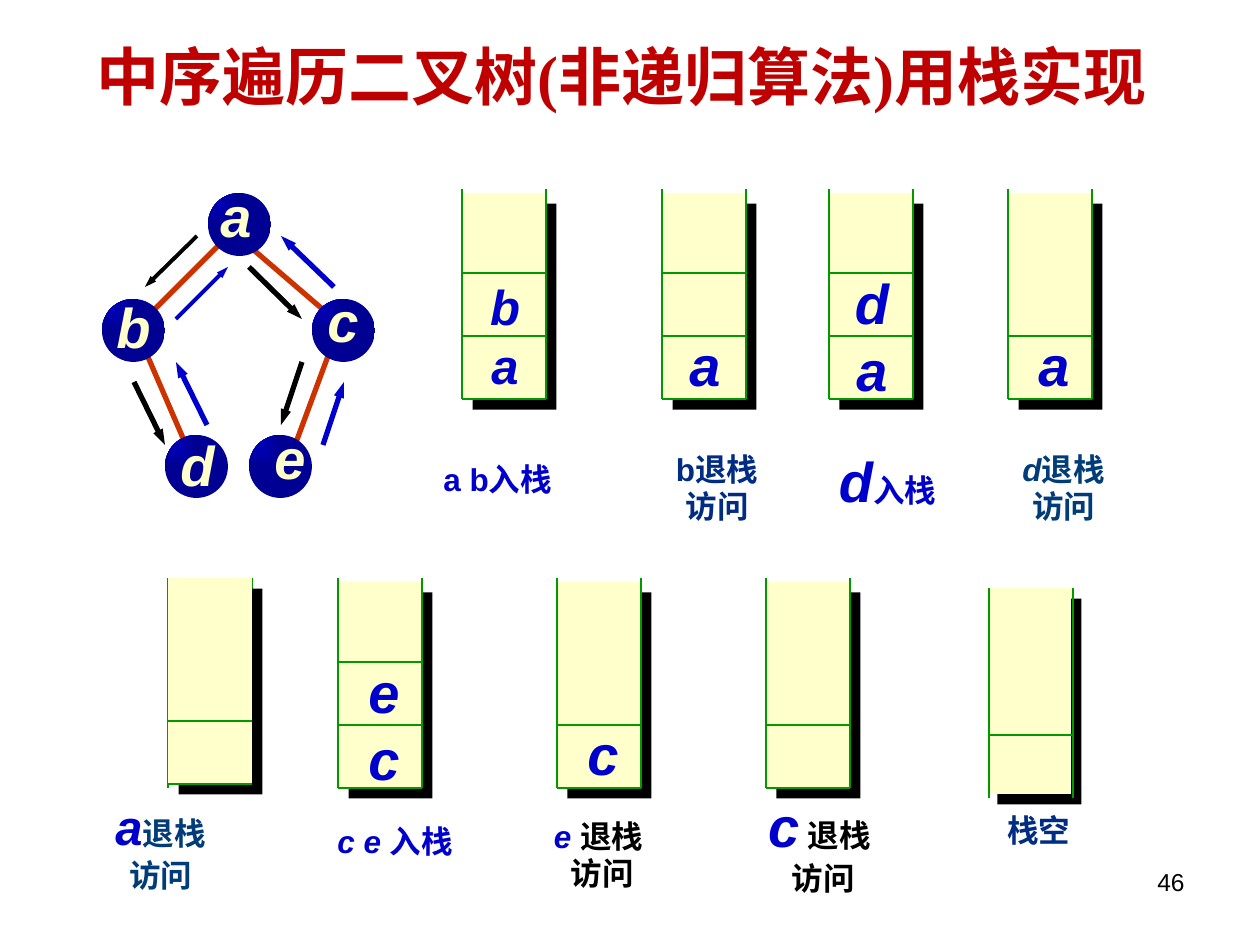
from lxml import etree
from pptx import Presentation
from pptx import util as u
from pptx.dml.color import RGBColor
from pptx.enum import shapes, text
from pptx.oxml import ns

PX = 914400 // 126
BLUE, NAVY, TEAL, BLACK = "0000CC", "002C84", "003C78", "000000"
CREAM, GREEN, ORANGE, RED = "FFFFCC", "009900", "CC3300", "BE0000"
STACK_W, STACK_H, FILL_H = 84, 210, 206
NODE = 63


def px(*values):
    """Turn pixel lengths into EMU."""
    return [u.Emu(v * PX) for v in values]


def rgb(code):
    """Turn a hex string into a colour."""
    return RGBColor.from_string(code)


def child(parent, tag, **attrs):
    """Append a DrawingML element."""
    return etree.SubElement(parent, ns.qn(tag), attrs)


def run(content, size=18, color=BLUE, italic=False):
    """Describe one bold run."""
    return content, size, color, italic


def label(parent, box, lines, align=text.PP_ALIGN.CENTER,
          anchor=text.MSO_ANCHOR.MIDDLE, font="Arial", bold=True):
    """Add a text box whose lines are lists of runs."""
    tf = parent.add_textbox(*px(*box)).text_frame
    tf.word_wrap = align != text.PP_ALIGN.CENTER
    tf.vertical_anchor = anchor
    for i, line_runs in enumerate(lines):
        p = tf.add_paragraph() if i else tf.paragraphs[0]
        p.alignment = align
        for content, size, color, italic in line_runs:
            r = p.add_run()
            r.text = content
            r.font.name, r.font.size = font, u.Pt(size)
            r.font.bold, r.font.italic = bold, italic
            r.font.color.rgb = rgb(color)


def line(parent, ends, color, width, arrow=False):
    """Add a straight line, with an arrowhead at its end if asked."""
    c = parent.add_connector(shapes.MSO_CONNECTOR.STRAIGHT, *px(*ends))
    c.line.color.rgb = rgb(color)
    c.line.width = u.Pt(width)
    sp_pr = c._element.spPr
    if arrow:
        child(sp_pr.find(ns.qn("a:ln")), "a:tailEnd", type="triangle", w="sm", len="med")
    child(sp_pr, "a:effectLst")


def node(parent, left, top):
    """Add a tree node shaded from its top left."""
    sp = parent.add_shape(shapes.MSO_SHAPE.OVAL, *px(left, top, NODE, NODE))
    sp.shadow.inherit = False
    sp.line.fill.background()
    sp.fill.gradient()
    for stop, color in zip(sp.fill.gradient_stops, (BLUE, "000092")):
        stop.color.rgb = rgb(color)
    grad = sp._element.spPr.find(ns.qn("a:gradFill"))
    grad.remove(grad.find(ns.qn("a:lin")))
    shade = child(grad, "a:path", path="rect")
    child(shade, "a:fillToRect", r="100000", b="100000")


def stack_body(parent, left, top):
    """Add the filled body of a stack with a hard shadow."""
    sp = parent.add_shape(shapes.MSO_SHAPE.RECTANGLE, *px(left, top, STACK_W, FILL_H))
    sp.fill.solid()
    sp.fill.fore_color.rgb = rgb(CREAM)
    sp.line.fill.background()
    sp.shadow.inherit = False
    effects = sp._element.spPr.find(ns.qn("a:effectLst"))
    shadow = child(effects, "a:outerShdw", dist=str(u.Pt(8.5)), dir="2700000",
                   algn="ctr", rotWithShape="0")
    child(shadow, "a:srgbClr", val=BLACK)


def stack_walls(parent, left, top):
    """Add the two side walls of a stack."""
    for x in (left, left + STACK_W):
        line(parent, (x, top, x, top + STACK_H), GREEN, 1.5)


def stack(s, left, top, levels, letters="", size=32, shift=4,
          body=(0, 4), walls_behind=False):
    """Add a stack with its level lines and the letters it holds."""
    parent = s.shapes.add_group_shape().shapes
    if walls_behind:
        stack_walls(parent, left, top)
    stack_body(parent, left + body[0], top + body[1])
    if not walls_behind:
        stack_walls(parent, left, top)
    for level in levels:
        line(parent, (left, top + level, left + STACK_W, top + level), GREEN, 1.5)
    if letters:
        offset, height = (73, 147) if len(letters) > 1 else (136, 79)
        label(parent, (left + shift, top + offset, STACK_W, height),
              [[run(letter, size, italic=True)] for letter in letters])


def tree(s):
    """Add the binary tree with its traversal arrows."""
    parent = s.shapes.add_group_shape().shapes
    for ends in ((334, 340, 291, 456), (145, 350, 186, 445),
                 (249, 246, 334, 319), (218, 246, 145, 319)):
        line(parent, ends, ORANGE, 3)
    nodes = {"a": (208, 193), "b": (102, 299), "c": (312, 299),
             "d": (165, 435), "e": (249, 435)}
    for spot in nodes.values():
        node(parent, *spot)
    letters = {"a": (208, 176), "b": (104, 287), "c": (315, 281),
               "d": (168, 425), "e": (262, 418)}
    for letter, spot in letters.items():
        label(parent, (*spot, 52, 79), [[run(letter, 32, CREAM, True)]])
    arrows = (((197, 236, 145, 287), BLACK, 2.25),
              ((134, 382, 165, 445), BLACK, 3),
              ((207, 425, 176, 362), BLUE, 3),
              ((176, 319, 228, 267), BLUE, 2.25),
              ((249, 267, 302, 319), BLACK, 3),
              ((302, 362, 281, 425), BLACK, 3),
              ((323, 445, 344, 382), BLUE, 3),
              ((334, 287, 281, 236), BLUE, 3))
    for ends, color, width in arrows:
        line(parent, ends, color, width, arrow=True)


def stacks(s):
    """Add the nine stack states in two rows."""
    upper, lower = 189, 578
    stack(s, 462, upper, (84, 147, 210), "ba", size=28, shift=1)
    stack(s, 662, upper, (84, 147, 210), "a", shift=1)
    stack(s, 829, upper, (84, 147, 210), "da", shift=1)
    stack(s, 1008, upper, (147, 210), "a")
    stack(s, 168, lower, (143, 206), body=(0, 0), walls_behind=True)
    stack(s, 338, lower, (84, 147, 210), "ec")
    stack(s, 557, lower, (147, 210), "c")
    stack(s, 766, lower, (147, 210))
    stack(s, 989, 588, (147,), body=(-2, 0))


def captions(s):
    """Add the caption below each stack."""
    left = text.PP_ALIGN.LEFT
    label(s.shapes, (431, 447, 168, 63), [[run("a b入栈")]], left)
    label(s.shapes, (651, 431, 132, 113),
          [[run("b退栈", color=NAVY)], [run("访问", color=NAVY)]])
    label(s.shapes, (819, 441, 137, 79),
          [[run("d", 32, italic=True), run("入栈")]])
    label(s.shapes, (998, 431, 131, 113),
          [[run("d", color=TEAL, italic=True), run("退栈", color=TEAL)],
           [run("访问", color=TEAL)]])
    label(s.shapes, (93, 784, 135, 122),
          [[run("a", 28, italic=True), run("退栈", color=TEAL)],
           [run("访问", color=TEAL)]])
    label(s.shapes, (325, 809, 168, 63),
          [[run("c e ", italic=True), run("入栈")]], left)
    label(s.shapes, (525, 798, 147, 113),
          [[run("e ", italic=True), run("退栈", color=BLACK)],
           [run(" 访问", color=BLACK)]])
    label(s.shapes, (746, 779, 147, 130),
          [[run("c", 32, italic=True), run(" ", italic=True), run("退栈", color=BLACK)],
           [run(" 访问", color=BLACK)]])
    label(s.shapes, (976, 798, 126, 63), [[run("栈空", color=NAVY)]])


def main():
    """Build the slide and save it."""
    prs = Presentation()
    prs.slide_width, prs.slide_height = px(1260, 945)
    s = prs.slides.add_slide(prs.slide_layouts[6])
    top = text.MSO_ANCHOR.TOP
    label(s.shapes, (84, 31, 1079, 122),
          [[run("中序遍历二叉树(非递归算法)用栈实现", 36, RED)]],
          text.PP_ALIGN.LEFT, top, "Times New Roman")
    tree(s)
    stacks(s)
    captions(s)
    label(s.shapes, (903, 861, 294, 66), [[run("46", 14, BLACK)]],
          text.PP_ALIGN.RIGHT, top, bold=False)
    prs.save("out.pptx")


if __name__ == "__main__":
    main()
